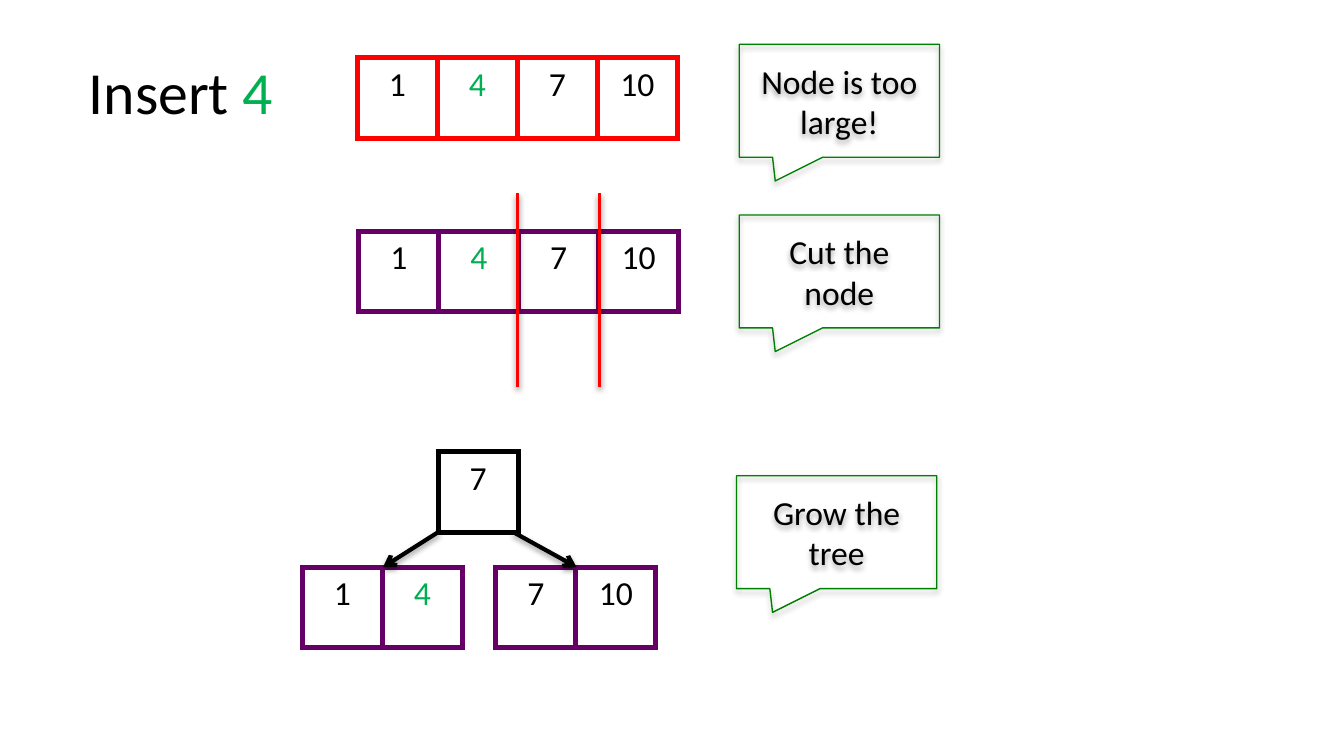
"""Build a slide showing how inserting 4 overflows, cuts and grows a B-tree."""
from lxml import etree
from pptx import Presentation
from pptx.dml.color import RGBColor
from pptx.enum import shapes, text
from pptx.oxml import ns
from pptx.util import Inches, Pt

BLACK, GREEN, RED, PURPLE, DARK_GREEN = "000000", "00B050", "FF0000", "660066", "008000"
INSERTED = "4"
CELL_WIDTH, CELL_HEIGHT = 2.38 / 4, 0.6
NODES = [
    (2.66, 0.43, RED, ["1", "4", "7", "10"]),
    (2.67, 1.72, PURPLE, ["1", "4", "7", "10"]),
    (3.26, 3.36, BLACK, ["7"]),
    (2.25, 4.22, PURPLE, ["1", "4"]),
    (3.69, 4.22, PURPLE, ["7", "10"]),
]
CUTS = [(x, 2.88, x, 1.44) for x in (3.85, 4.46)]
BRANCHES = [(3.26, 3.96, 2.85, 4.22), (3.82, 3.96, 4.29, 4.22)]
CALLOUTS = [
    (5.5, 0.33, "Node is too large!"),
    (5.5, 1.6, "Cut the node"),
    (5.48, 3.54, "Grow the tree"),
]


def rgb(value):
    return RGBColor.from_string(value)


def add_xml(parent, tag, **attributes):
    return etree.SubElement(parent, ns.qn(tag), attributes)


def style_font(font, size, color):
    font.name, font.size, font.bold = "Calibri", Pt(size), False
    font.color.rgb = rgb(color)


def add_shadow(shape, distance, opacity):
    effects = add_xml(shape._element.spPr, "a:effectLst")
    shadow = add_xml(effects, "a:outerShdw", blurRad=str(Pt(3.1)), dist=str(Pt(distance)),
                     dir="5400000", rotWithShape="0")
    color = add_xml(shadow, "a:srgbClr", val=BLACK)
    add_xml(color, "a:alpha", val=str(opacity * 1000))


def add_borders(cell, color):
    properties = cell._tc.get_or_add_tcPr()
    for index, side in enumerate("LRTB"):
        border = add_xml(properties, f"a:ln{side}", w=str(Pt(3)))
        add_xml(add_xml(border, "a:solidFill"), "a:srgbClr", val=color)
        properties.insert(index, border)


def add_node(slide, left, top, color, keys):
    frame = slide.shapes.add_table(1, len(keys), Inches(left), Inches(top),
                                   Inches(CELL_WIDTH * len(keys)), Inches(CELL_HEIGHT))
    table = frame.table
    table.first_row = table.horz_banding = False
    for cell, key in zip(table.iter_cells(), keys):
        cell.text = key
        cell.fill.background()
        add_borders(cell, color)
        para = cell.text_frame.paragraphs[0]
        para.alignment = text.PP_ALIGN.CENTER
        style_font(para.runs[0].font, 18, GREEN if key == INSERTED else BLACK)


def add_line(slide, ends, color, width, arrow=False):
    line = slide.shapes.add_connector(shapes.MSO_CONNECTOR.STRAIGHT, *map(Inches, ends))
    line.line.color.rgb = rgb(color)
    line.line.width = Pt(width)
    if arrow:
        add_xml(line.line._get_or_add_ln(), "a:tailEnd", type="arrow")
    add_shadow(line, 1.6, 38)


def add_callout(slide, left, top, words):
    box = slide.shapes.add_shape(shapes.MSO_SHAPE.RECTANGULAR_CALLOUT, Inches(left),
                                 Inches(top), Inches(1.49), Inches(0.84))
    box.adjustments[0], box.adjustments[1] = -0.32, 0.71
    box.fill.background()
    box.line.color.rgb = rgb(DARK_GREEN)
    box.line.width = Pt(0.75)
    add_shadow(box, 1.8, 35)
    frame = box.text_frame
    frame.text = words
    frame.word_wrap = True
    frame.vertical_anchor = text.MSO_ANCHOR.MIDDLE
    para = frame.paragraphs[0]
    para.alignment = text.PP_ALIGN.CENTER
    style_font(para.runs[0].font, 18, BLACK)


def add_title(slide):
    title = slide.shapes.title
    title.left, title.top, title.width, title.height = map(Inches, (0.56, 0.36, 2.1, 0.64))
    frame = title.text_frame
    frame.vertical_anchor = text.MSO_ANCHOR.TOP
    para = frame.paragraphs[0]
    para.alignment = text.PP_ALIGN.LEFT
    for words, color in (("Insert ", BLACK), (INSERTED, GREEN)):
        span = para.add_run()
        span.text = words
        style_font(span.font, 32, color)


def main():
    deck = Presentation()
    deck.slide_width = Inches(10)
    deck.slide_height = deck.slide_width * 9 // 16
    slide = deck.slides.add_slide(deck.slide_layouts[5])
    add_title(slide)
    for node in NODES:
        add_node(slide, *node)
    for ends in CUTS:
        add_line(slide, ends, RED, 2)
    for ends in BRANCHES:
        add_line(slide, ends, BLACK, 2.25, arrow=True)
    for callout in CALLOUTS:
        add_callout(slide, *callout)
    deck.save("out.pptx")


if __name__ == "__main__":
    main()
